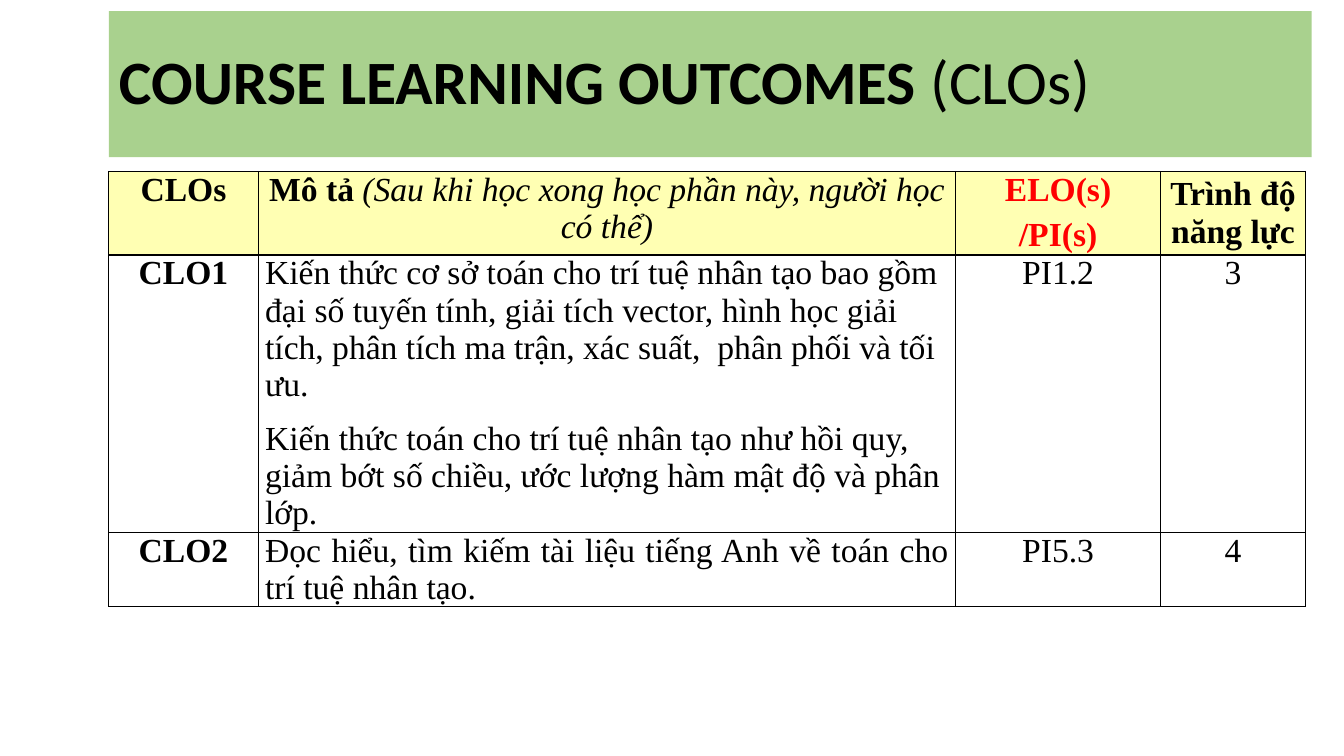
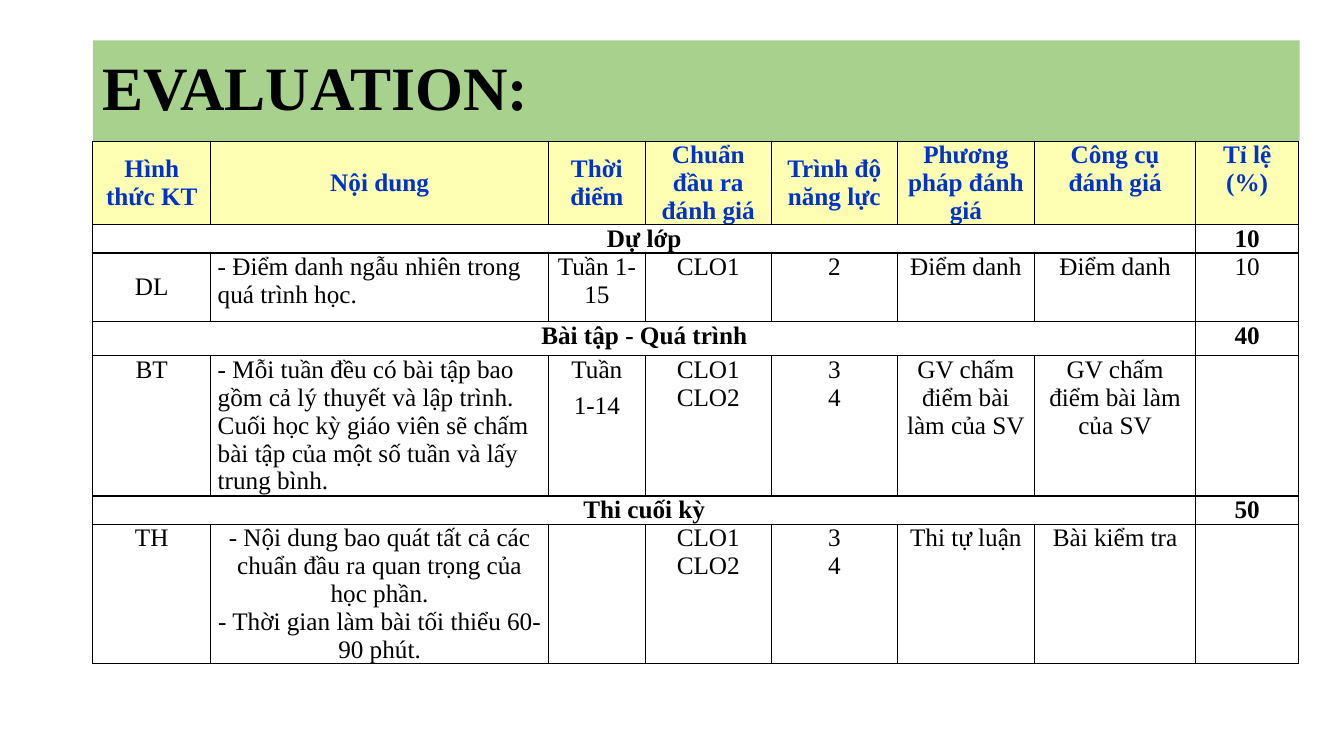
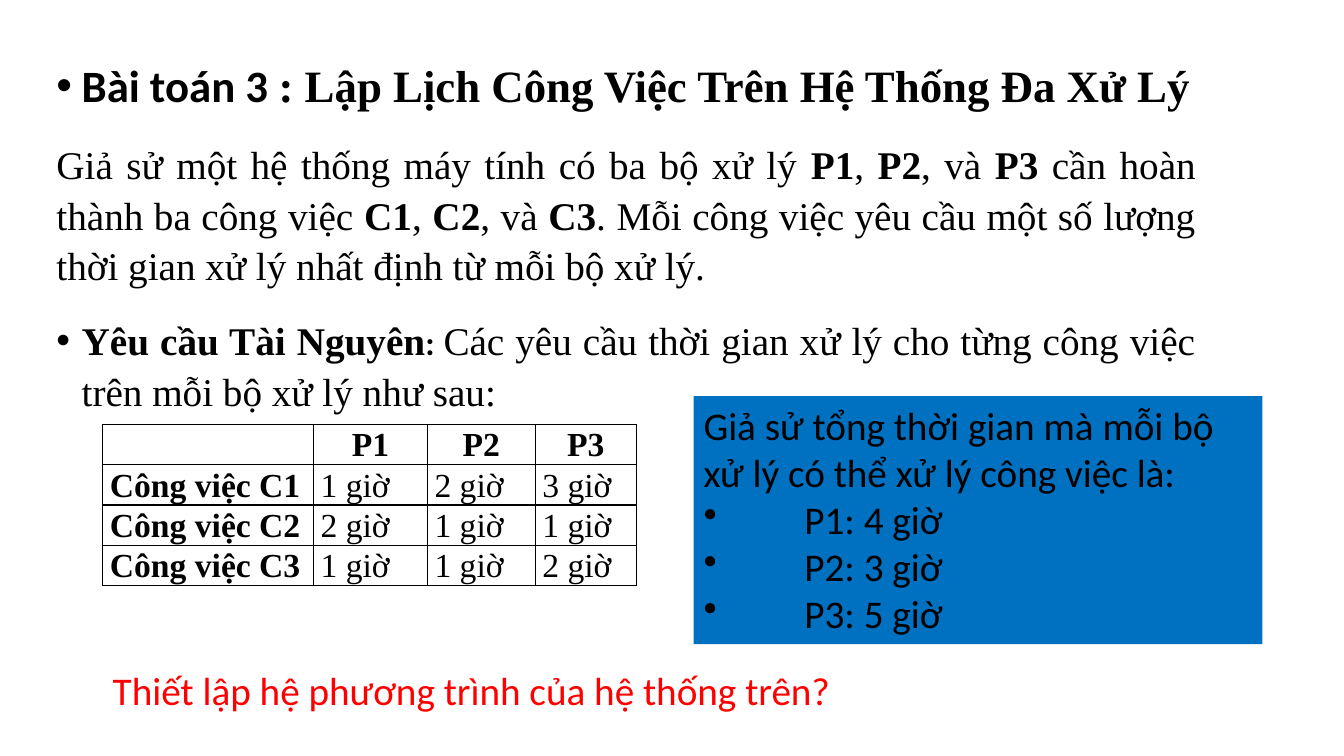
"""Build three course slides: learning outcomes, evaluation and a scheduling problem."""
from lxml import etree
from pptx import Presentation
from pptx import util as u
from pptx.dml.color import RGBColor
from pptx.enum import shapes, text
from pptx.oxml.ns import qn

COLORS = {"band": "A9D18E", "header": "FFFFB3", "ink": "000000", "red": "FF0000",
          "navy": "0033CC", "box": "0070C0"}
SERIF, SANS = "Times New Roman", "Calibri"
BOLD, RED = {"bold": True}, {"bold": True, "color": "red"}
LEFT, CENTER, JUSTIFY = text.PP_ALIGN.LEFT, text.PP_ALIGN.CENTER, text.PP_ALIGN.JUSTIFY

OUTCOMES_TITLE = [("COURSE LEARNING OUTCOMES ", BOLD), ("(CLOs)", {})]
OUTCOMES = [
    ["CLOs",
     [[("Mô tả ", BOLD),
       ("(Sau khi học xong học phần này, người học có thể)", {"bold": False, "italic": True})]],
     [[("ELO(s)", RED)], [("/PI(s)", RED)]],
     "Trình độ năng lực"],
    ["CLO1",
     ["Kiến thức cơ sở toán cho trí tuệ nhân tạo bao gồm đại số tuyến tính, giải tích vector, "
      "hình học giải tích, phân tích ma trận, xác suất,  phân phối và tối ưu.",
      "Kiến thức toán cho trí tuệ nhân tạo như hồi quy, giảm bớt số chiều, "
      "ước lượng hàm mật độ và phân lớp."],
     "PI1.2", "3"],
    ["CLO2", "Đọc hiểu, tìm kiếm tài liệu tiếng Anh về toán cho trí tuệ nhân tạo.", "PI5.3", "4"],
]

EVALUATION = [
    ["Hình thức KT", "Nội dung", "Thời điểm", "Chuẩn đầu ra đánh giá", "Trình độ năng lực",
     "Phương pháp đánh giá", "Công cụ đánh giá", "Tỉ lệ (%)"],
    ["Dự lớp", "", "", "", "", "", "", "10"],
    ["DL", "- Điểm danh ngẫu nhiên trong quá trình học.", "Tuần 1-15", "CLO1", "2",
     "Điểm danh", "Điểm danh", "10"],
    ["Bài tập - Quá trình", "", "", "", "", "", "", "40"],
    ["BT",
     "- Mỗi tuần đều có bài tập bao gồm cả lý thuyết và lập trình. Cuối học kỳ giáo viên "
     "sẽ chấm bài tập của một số tuần và lấy trung bình.",
     ["Tuần", "1-14"], ["CLO1", "CLO2"], ["3", "4"],
     "GV chấm điểm bài làm của SV", "GV chấm điểm bài làm của SV", ""],
    ["Thi cuối kỳ", "", "", "", "", "", "", "50"],
    ["TH",
     ["- Nội dung bao quát tất cả các chuẩn đầu ra quan trọng của học phần.",
      "- Thời gian làm bài tối thiểu 60-90 phút."],
     "", ["CLO1", "CLO2"], ["3", "4"], "Thi tự luận", "Bài kiểm tra", ""],
]
SECTION_ROWS = (1, 3, 5)

PROBLEM = [
    [("Bài toán 3 ", {"bold": True, "size": 32, "name": SANS}),
     (": Lập Lịch Công Việc Trên Hệ Thống Đa Xử Lý", {"bold": True, "size": 32})],
    [("Giả sử một hệ thống máy tính có ba bộ xử lý ", {}), ("P1", BOLD), (", ", {}), ("P2", BOLD),
     (", và ", {}), ("P3 ", BOLD), ("cần hoàn thành ba công việc ", {}), ("C1", BOLD), (", ", {}),
     ("C2", BOLD), (", và ", {}), ("C3", BOLD),
     (". Mỗi công việc yêu cầu một số lượng thời gian xử lý nhất định từ mỗi bộ xử lý.", {})],
    [("Yêu cầu Tài Nguyên", BOLD), (": ", {"bold": True, "size": 24, "name": SANS}),
     ("Các yêu cầu thời gian xử lý cho từng công việc trên mỗi bộ xử lý như sau:", {})],
]
JOBS = [
    ["", "P1", "P2", "P3"],
    ["Công việc C1", "1 giờ", "2 giờ", "3 giờ"],
    ["Công việc C2", "2 giờ", "1 giờ", "1 giờ"],
    ["Công việc C3", "1 giờ", "1 giờ", "2 giờ"],
]
CAPACITY = ["Giả sử tổng thời gian mà mỗi bộ xử lý có thể xử lý công việc là:",
            "P1: 4 giờ", "P2: 3 giờ", "P3: 5 giờ"]
QUESTION = "Thiết lập hệ phương trình của hệ thống trên?"


def rgb(name):
    return RGBColor.from_string(COLORS[name])


def place(shape, left, top, width, height):
    shape.left, shape.top = u.Inches(left), u.Inches(top)
    shape.width, shape.height = u.Inches(width), u.Inches(height)


def set_bullet(paragraph, indent):
    """Hang a bullet by the indent in inches, or remove it when the indent is zero."""
    properties = paragraph._p.get_or_add_pPr()
    properties.set("marL", str(u.Inches(indent)))
    properties.set("indent", str(-u.Inches(indent)))
    if indent:
        etree.SubElement(properties, qn("a:buChar")).set("char", "•")
    else:
        etree.SubElement(properties, qn("a:buNone"))


def write(frame, paragraphs, size, name=SERIF, color="ink", bold=False, align=LEFT,
          gap=0, spacing=1.0, indents=()):
    """Fill a frame with paragraphs, each a string or a list of (text, style) runs."""
    base = {"size": size, "name": name, "color": color, "bold": bold, "italic": False}
    frame.word_wrap = True
    for index, content in enumerate(paragraphs):
        paragraph = frame.paragraphs[0] if index == 0 else frame.add_paragraph()
        if indents:
            set_bullet(paragraph, indents[index])
        paragraph.alignment = align
        paragraph.line_spacing = spacing
        paragraph.space_before = u.Pt(gap if index else 0)
        paragraph.space_after = u.Pt(0)
        for words, changes in [(content, {})] if isinstance(content, str) else content:
            style = {**base, **changes}
            run = paragraph.add_run()
            run.text = words
            run.font.size, run.font.name = u.Pt(style["size"]), style["name"]
            run.font.bold, run.font.italic = style["bold"], style["italic"]
            run.font.color.rgb = rgb(style["color"])


def add_title(slide, box, content, name):
    title = slide.shapes.title
    place(title, *box)
    title.fill.solid()
    title.fill.fore_color.rgb = rgb("band")
    write(title.text_frame, [content], 44, name, spacing=0.9)
    title.text_frame.auto_size = text.MSO_AUTO_SIZE.NONE
    title.text_frame.vertical_anchor = text.MSO_ANCHOR.MIDDLE


def add_borders(cell):
    properties = cell._tc.get_or_add_tcPr()
    for index, side in enumerate(("lnL", "lnR", "lnT", "lnB")):
        line = etree.Element(qn(f"a:{side}"), w=str(u.Pt(1)))
        fill = etree.SubElement(line, qn("a:solidFill"))
        etree.SubElement(fill, qn("a:srgbClr")).set("val", COLORS["ink"])
        properties.insert(index, line)


def add_table(slide, left, top, widths, heights, rows, size, style, header_fill=None,
              middle=(), merged=()):
    """Add a bordered table; style(row, column) gives the text options of a cell."""
    frame = slide.shapes.add_table(len(rows), len(widths), u.Inches(left), u.Inches(top),
                                   u.Inches(sum(widths)), u.Inches(sum(heights)))
    table = frame.table
    table.first_row = table.horz_banding = False
    for column, width in zip(table.columns, widths):
        column.width = u.Inches(width)
    for row, height in zip(table.rows, heights):
        row.height = u.Inches(height)
    for row in merged:
        table.cell(row, 0).merge(table.cell(row, len(widths) - 2))
    for r, row in enumerate(rows):
        for c, content in enumerate(row):
            cell = table.cell(r, c)
            cell.margin_left = cell.margin_right = u.Inches(0.07)
            cell.margin_top = cell.margin_bottom = 0
            if (r, c) in middle:
                cell.vertical_anchor = text.MSO_ANCHOR.MIDDLE
            if r == 0 and header_fill:
                cell.fill.solid()
                cell.fill.fore_color.rgb = rgb(header_fill)
            else:
                cell.fill.background()
            add_borders(cell)
            if content:
                paragraphs = [content] if isinstance(content, str) else content
                write(cell.text_frame, paragraphs, size, **style(r, c))


def outcome_style(r, c):
    align = {(1, 1): LEFT, (2, 1): JUSTIFY}.get((r, c), CENTER)
    return {"bold": r == 0 or c == 0, "align": align, "gap": 12 if r else 6}


def evaluation_style(r, c):
    return {"bold": r == 0 or r in SECTION_ROWS, "color": "ink" if r else "navy",
            "align": LEFT if c == 1 and r in (2, 4) else CENTER,
            "gap": 6 if c == 2 else 0}


def job_style(r, c):
    return {"bold": r == 0 or c == 0, "align": LEFT if r else CENTER, "spacing": 1.07}


def build_outcomes(slide):
    add_title(slide, (1.08, 0.11, 11.93, 1.45), OUTCOMES_TITLE, SANS)
    add_table(slide, 1.08, 1.7, (1.48, 6.92, 2.03, 1.44), (0.83, 2.75, 0.73), OUTCOMES, 24,
              outcome_style, "header", middle=[(0, 3)])


def build_evaluation(slide):
    add_title(slide, (0.92, 0.4, 11.97, 1), [("EVALUATION:", BOLD)], SERIF)
    middle = [(0, c) for c in (0, 1, 2, 4, 5)] + [(r, c) for r in (1, 5) for c in (0, 7)]
    add_table(slide, 0.92, 1.4, (1.17, 3.35, 0.96, 1.25, 1.25, 1.36, 1.6, 1.02),
              (0.83, 0.28, 0.68, 0.34, 1.39, 0.28, 1.38), EVALUATION, 18,
              evaluation_style, "header", middle + [(2, 0)], SECTION_ROWS)


def build_problem(slide):
    title = slide.shapes.title
    title._element.getparent().remove(title._element)
    body = slide.placeholders[1]
    place(body, 0.46, 0.49, 11.5, 4.76)
    write(body.text_frame, PROBLEM, 28, align=JUSTIFY, gap=18, spacing=1.07,
          indents=(0.25, 0, 0.25))
    body.text_frame.auto_size = text.MSO_AUTO_SIZE.NONE
    add_table(slide, 1.02, 4.21, (2.09, 1.13, 1.07, 1), (0.4,) * 4, JOBS, 24, job_style)

    capacity = slide.shapes.add_shape(shapes.MSO_SHAPE.RECTANGLE, 0, 0, 0, 0)
    place(capacity, 6.88, 3.93, 5.64, 2.46)
    capacity.shadow.inherit = False
    capacity.fill.solid()
    capacity.fill.fore_color.rgb = rgb("box")
    capacity.line.fill.background()
    capacity.text_frame.vertical_anchor = text.MSO_ANCHOR.TOP
    write(capacity.text_frame, CAPACITY, 28, SANS, indents=(0, 1, 1, 1))

    question = slide.shapes.add_textbox(0, 0, 0, 0)
    place(question, 1.02, 6.56, 9.73, 0.57)
    write(question.text_frame, [QUESTION], 28, SANS, "red")


def main():
    presentation = Presentation()
    presentation.slide_width, presentation.slide_height = u.Inches(13.33), u.Inches(7.5)
    for build, layout in ((build_outcomes, 5), (build_evaluation, 5), (build_problem, 1)):
        build(presentation.slides.add_slide(presentation.slide_layouts[layout]))
    presentation.save("out.pptx")


if __name__ == "__main__":
    main()
